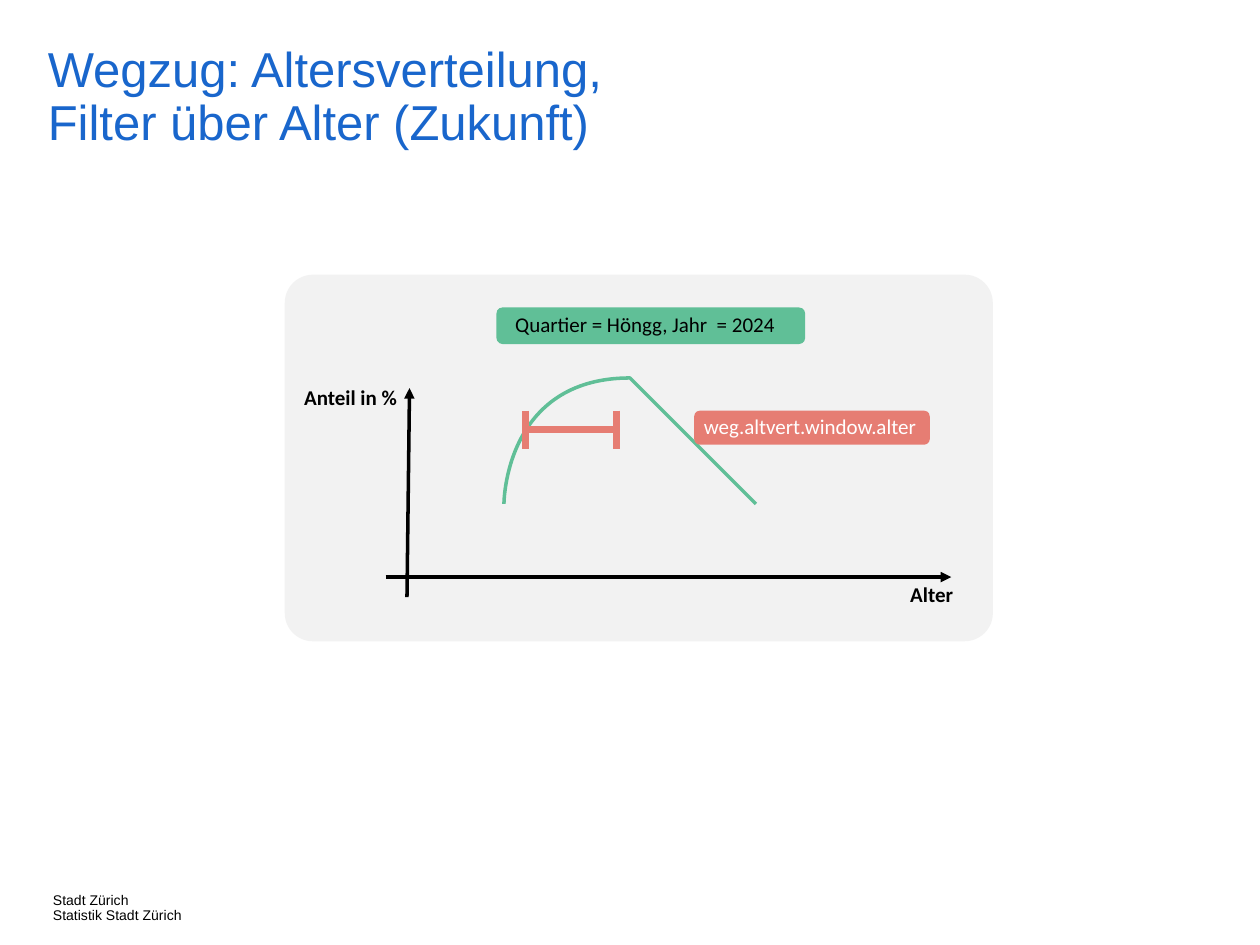
"""Build the slide on the age distribution of people moving away."""
from dataclasses import dataclass

from lxml.etree import SubElement
from pptx import Presentation
from pptx.dml.color import RGBColor
from pptx.enum.shapes import MSO_CONNECTOR, MSO_SHAPE
from pptx.enum.text import MSO_ANCHOR, MSO_AUTO_SIZE, PP_ALIGN
from pptx.oxml.ns import qn
from pptx.util import Inches, Pt


@dataclass(frozen=True)
class Theme:
    blue: str = "1966CC"
    black: str = "000000"
    white: str = "FFFFFF"
    panel: str = "F2F2F2"
    green: str = "60BF97"
    red: str = "E67D73"
    heading: str = "Arial"
    body: str = "Calibri"
    title_size: int = 28
    label_size: int = 12
    footer_size: int = 8
    line: int = 2
    bracket: int = 4


class Sketch:
    def __init__(self, slide, theme):
        self.slide = slide
        self.theme = theme
        self.shapes = slide.shapes

    def start_group(self):
        self.shapes = self.slide.shapes.add_group_shape().shapes

    def text(self, box, lines, size, color, font, align=PP_ALIGN.LEFT,
             bold=False, spacing=None, margin=None, wrap=True):
        tf = self.shapes.add_textbox(*map(Inches, box)).text_frame
        frame_format = {"word_wrap": wrap, "vertical_anchor": MSO_ANCHOR.TOP}
        if margin is None:
            frame_format["auto_size"] = MSO_AUTO_SIZE.SHAPE_TO_FIT_TEXT
        else:
            for side in ("left", "top", "right", "bottom"):
                frame_format[f"margin_{side}"] = Inches(margin)
        for name, value in frame_format.items():
            setattr(tf, name, value)
        tf.text = lines
        for p in tf.paragraphs:
            p.alignment = align
            p.line_spacing = spacing
            for r in p.runs:
                run_format = {"name": font, "size": Pt(size), "bold": bold}
                for name, value in run_format.items():
                    setattr(r.font, name, value)
                r.font.color.rgb = RGBColor.from_string(color)

    def heading(self, box, lines, size, color, wrap=True):
        self.text(box, lines, size, color, self.theme.heading,
                  spacing=0.9, margin=0, wrap=wrap)

    def label(self, box, words, color, align=PP_ALIGN.CENTER, bold=False):
        self.text(box, words, self.theme.label_size, color, self.theme.body,
                  align, bold)

    def rounded(self, box, color, radius=0.1667):
        sp = self.shapes.add_shape(MSO_SHAPE.ROUNDED_RECTANGLE,
                                   *map(Inches, box))
        sp.adjustments[0] = radius
        sp.shadow.inherit = False
        sp.fill.solid()
        sp.fill.fore_color.rgb = RGBColor.from_string(color)
        sp.line.fill.background()

    def badge(self, box, fill, words, color, text_box):
        self.rounded(box, fill)
        self.label(text_box, words, color)

    def stroke(self, sp, color, width):
        sp.line.color.rgb = RGBColor.from_string(color)
        sp.line.width = Pt(width)

    def line(self, start, end, color, width, arrow=False):
        sp = self.shapes.add_connector(MSO_CONNECTOR.STRAIGHT,
                                       *map(Inches, start + end))
        self.stroke(sp, color, width)
        if arrow:
            SubElement(sp.line._get_or_add_ln(), qn("a:tailEnd"),
                       type="triangle")
        SubElement(sp._element.spPr, qn("a:effectLst"))

    def curve(self, start, points, color, width):
        builder = self.shapes.build_freeform(*start, scale=Inches(1))
        builder.add_line_segments(points, close=False)
        sp = builder.convert_to_shape()
        sp.shadow.inherit = False
        sp.fill.background()
        self.stroke(sp, color, width)
        outline = next(sp._element.iter(qn("a:path")))
        steps = outline.findall(qn("a:lnTo"))
        for i in range(0, len(steps), 3):
            bezier = SubElement(outline, qn("a:cubicBezTo"))
            for step in steps[i:i + 3]:
                bezier.append(step[0])
                outline.remove(step)


def main():
    prs = Presentation()
    prs.slide_width, prs.slide_height = Inches(10), Inches(7.5)
    s = prs.slides.add_slide(prs.slide_layouts[6])
    t = Theme()
    sketch = Sketch(s, t)

    sketch.heading((0.42, 7.09, 1.31, 0.2),
                   "Stadt Zürich\nStatistik Stadt Zürich",
                   t.footer_size, t.black, wrap=False)
    sketch.heading((0.38, 0.36, 10.45, 0.64),
                   "Wegzug: Altersverteilung, \vFilter über Alter (Zukunft)",
                   t.title_size, t.blue)

    sketch.start_group()
    sketch.rounded((2.26, 2.18, 5.62, 2.91), t.panel, 0.077)
    sketch.line((3.06, 4.58), (7.55, 4.58), t.black, t.line, arrow=True)
    sketch.label((7.01, 4.57, 0.77, 0.3), "Alter", t.black, bold=True)
    sketch.line((3.23, 4.74), (3.25, 3.08), t.black, t.line, arrow=True)
    sketch.label((2.29, 3, 0.96, 0.3), "Anteil in %", t.black,
                 PP_ALIGN.RIGHT, bold=True)
    sketch.curve((3.55, 4.45),
                 [(3.8, 3.89), (4.06, 3.32), (4.51, 3.32),
                  (4.96, 3.32), (5.62, 3.88), (6.27, 4.44)],
                 t.green, t.line)
    sketch.badge((3.94, 2.44, 2.45, 0.29), t.green,
                 "Quartier = Höngg, Jahr  = 2024", t.black,
                 (3.84, 2.42, 2.56, 0.3))

    left, right, level = 4.17, 4.89, 3.41
    sketch.line((left, level), (right, level), t.red, t.bracket)
    for x in (left, right):
        sketch.line((x, level - 0.15), (x, level + 0.15), t.red, t.bracket)
    sketch.badge((5.51, 3.26, 1.87, 0.27), t.red,
                 "weg.altvert.window.alter", t.white,
                 (5.4, 3.23, 2.06, 0.3))

    prs.save("out.pptx")


if __name__ == "__main__":
    main()
